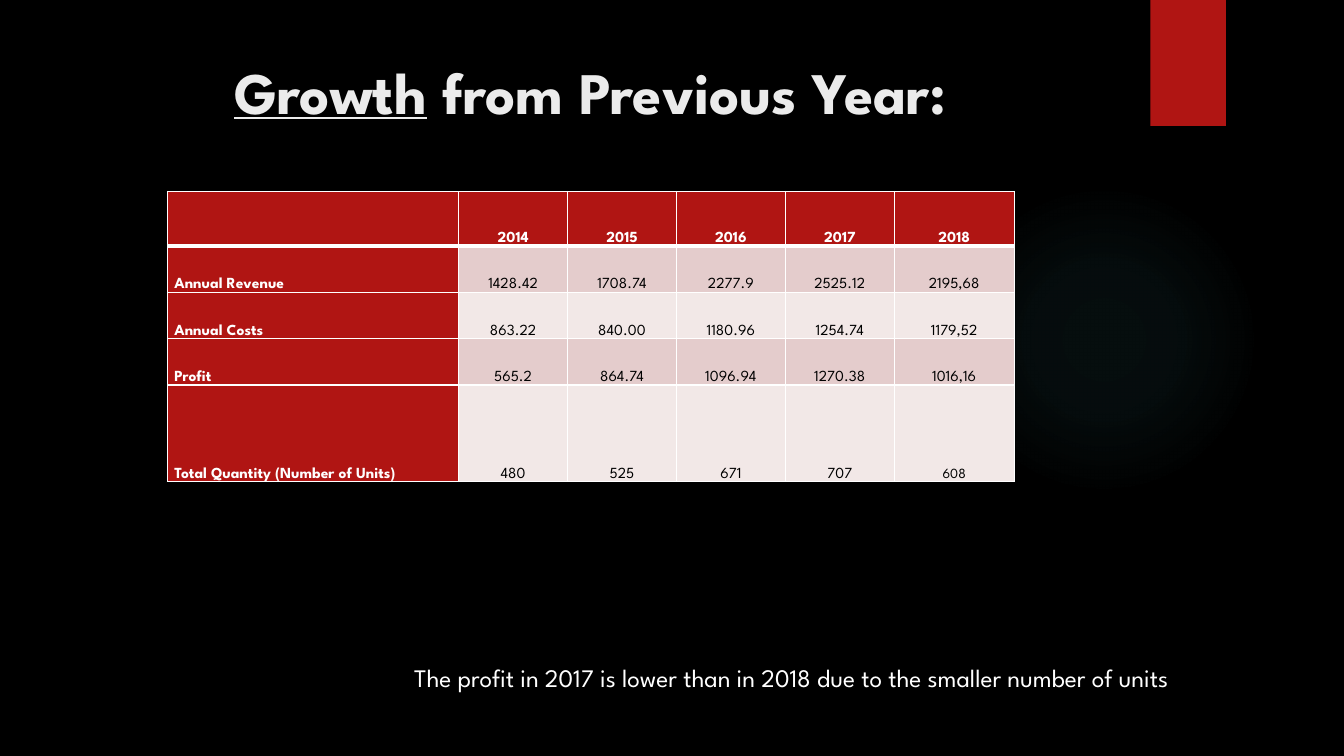
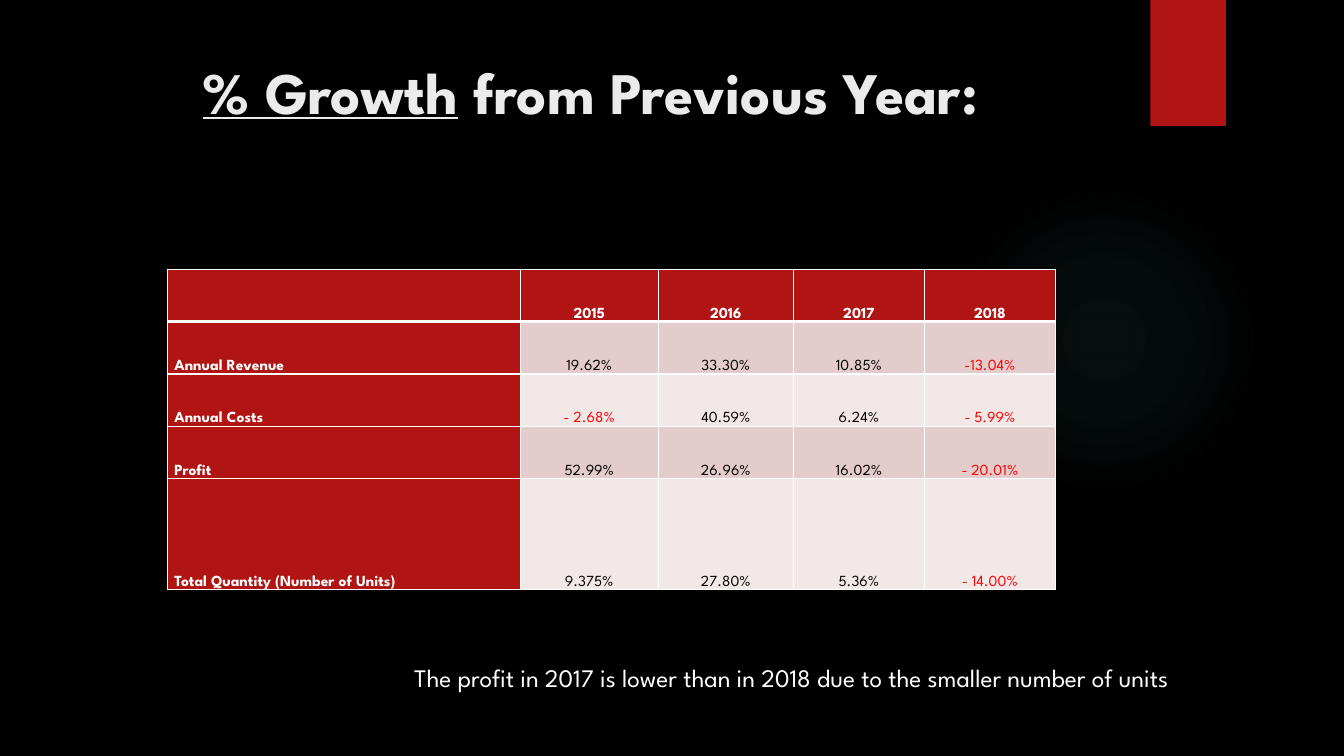
from pptx import Presentation
from pptx.dml.color import RGBColor
from pptx.enum.shapes import MSO_SHAPE
from pptx.enum.text import MSO_ANCHOR, PP_ALIGN
from pptx.oxml import parse_xml
from pptx.oxml.ns import nsdecls
from pptx.util import Inches, Pt

FONT = "League Spartan"
BLACK = RGBColor(0x00, 0x00, 0x00)
WHITE = RGBColor(0xFF, 0xFF, 0xFF)
TITLE_GREY = RGBColor(0xEB, 0xEB, 0xEB)
BRAND_RED = RGBColor(0xB0, 0x15, 0x13)
LOSS_RED = RGBColor(0xFF, 0x00, 0x00)
GLOW = RGBColor(0x50, 0xB9, 0xC1)
BANDS = [RGBColor(0xE4, 0xCC, 0xCC), RGBColor(0xF2, 0xE8, 0xE7)]
GLOW_STOPS = [(0, 7), (36, 6), (69, 0)]

NOTE = "The profit in 2017 is lower than in 2018 due to the smaller number of units"
SLIDES = [
    {
        "title": ("Growth", " from Previous Year:"),
        "top": 1.9,
        "columns": [2.89, 1.08, 1.08, 1.08, 1.08, 1.19],
        "heights": [0.54, 0.46, 0.46, 0.46, 0.96],
        "small": "608",
        "rows": [
            ("", "2014", "2015", "2016", "2017", "2018"),
            ("Annual Revenue", "1428.42", "1708.74", "2277.9", "2525.12", "2195,68"),
            ("Annual Costs", "863.22", "840.00", "1180.96", "1254.74", "1179,52"),
            ("Profit", "565.2", "864.74", "1096.94", "1270.38", "1016,16"),
            ("Total Quantity (Number of Units)", "480", "525", "671", "707", "608"),
        ],
    },
    {
        "title": ("% Growth", " from Previous Year:"),
        "top": 2.67,
        "columns": [3.5, 1.37, 1.34, 1.3, 1.3],
        "heights": [0.52, 0.52, 0.52, 0.52, 1.1],
        "small": None,
        "rows": [
            ("", "2015", "2016", "2017", "2018"),
            ("Annual Revenue", "19.62%", "33.30%", "10.85%", "-13.04%"),
            ("Annual Costs", "- 2.68%", "40.59%", "6.24%", "- 5.99%"),
            ("Profit", "52.99%", "26.96%", "16.02%", "- 20.01%"),
            ("Total Quantity (Number of Units)", "9.375%", "27.80%", "5.36%", "- 14.00%"),
        ],
    },
]


def write(para, text, size=18, color=WHITE, bold=False, underline=False):
    span = para.add_run()
    span.text = text
    span.font.name = FONT
    span.font.size = Pt(size)
    span.font.color.rgb = color
    span.font.bold = bold
    span.font.underline = underline


def add_plain_shape(page, kind, left, top, width, height):
    shape = page.shapes.add_shape(kind, Inches(left), Inches(top), Inches(width), Inches(height))
    shape.shadow.inherit = False
    shape.line.fill.background()
    return shape


def add_text_box(page, left, top, width, height):
    box = page.shapes.add_textbox(Inches(left), Inches(top), Inches(width), Inches(height))
    box.text_frame.word_wrap = True
    return box.text_frame.paragraphs[0]


def add_decoration(page):
    glow = add_plain_shape(page, MSO_SHAPE.OVAL, 9.41, 1.83, 3.08, 3.08)
    stops = "".join(
        f'<a:gs pos="{place * 1000}"><a:srgbClr val="{GLOW}">'
        f'<a:alpha val="{alpha * 1000}"/></a:srgbClr></a:gs>'
        for place, alpha in GLOW_STOPS
    )
    gradient = parse_xml(
        f'<a:gradFill {nsdecls("a")}><a:gsLst>{stops}</a:gsLst><a:path path="circle">'
        '<a:fillToRect l="50000" t="50000" r="50000" b="50000"/></a:path></a:gradFill>'
    )
    glow._element.spPr.prstGeom.addnext(gradient)
    tab = add_plain_shape(page, MSO_SHAPE.RECTANGLE, 11.41, 0, 0.75, 1.25)
    tab.fill.solid()
    tab.fill.fore_color.rgb = BRAND_RED


def add_borders(cell, top, bottom):
    properties = cell._tc.get_or_add_tcPr()
    for side, width in (("L", 1), ("R", 1), ("T", top), ("B", bottom)):
        properties.append(parse_xml(
            f'<a:ln{side} {nsdecls("a")} w="{Pt(width)}"><a:solidFill>'
            f'<a:srgbClr val="{WHITE}"/></a:solidFill></a:ln{side}>'
        ))


def fill_cell(cell, text, row, column, size):
    is_heading = row == 0 or column == 0
    add_borders(cell, 3 if row == 1 else 1, 3 if row == 0 else 1)
    cell.fill.solid()
    cell.fill.fore_color.rgb = BRAND_RED if is_heading else BANDS[(row - 1) % 2]
    cell.vertical_anchor = MSO_ANCHOR.BOTTOM
    cell.margin_left = cell.margin_right = Inches(0.07)
    cell.margin_top = cell.margin_bottom = 0
    if not text:
        return
    para = cell.text_frame.paragraphs[0]
    para.alignment = PP_ALIGN.CENTER if column else PP_ALIGN.LEFT
    para.line_spacing = 1.15
    para.space_before = Pt(5)
    value_color = LOSS_RED if text.startswith("-") else BLACK
    write(para, text, size=size, color=WHITE if is_heading else value_color, bold=is_heading)


def add_figures(page, content):
    columns, heights, rows = content["columns"], content["heights"], content["rows"]
    table = page.shapes.add_table(
        len(rows), len(columns), Inches(1.66), Inches(content["top"]),
        Inches(sum(columns)), Inches(sum(heights)),
    ).table
    for column, width in zip(table.columns, columns):
        column.width = Inches(width)
    for row, height in zip(table.rows, heights):
        row.height = Inches(height)
    for row, values in enumerate(rows):
        for column, text in enumerate(values):
            size = 10 if text == content["small"] else 11
            fill_cell(table.cell(row, column), text, row, column, size)


def add_page(deck, content):
    page = deck.slides.add_slide(deck.slide_layouts[6])
    page.background.fill.solid()
    page.background.fill.fore_color.rgb = BLACK
    add_decoration(page)
    title = add_text_box(page, 0.71, 0.5, 10.29, 1.53)
    title.alignment = PP_ALIGN.CENTER
    for text, underline in zip(content["title"], (True, False)):
        write(title, text, size=42, color=TITLE_GREY, bold=True, underline=underline)
    add_figures(page, content)
    write(add_text_box(page, 4.01, 6.52, 9.03, 0.4), NOTE)


def main():
    """Build the yearly growth slides."""
    deck = Presentation()
    deck.slide_width, deck.slide_height = Inches(13.33), Inches(7.5)
    for content in SLIDES:
        add_page(deck, content)
    deck.save("out.pptx")


if __name__ == "__main__":
    main()
